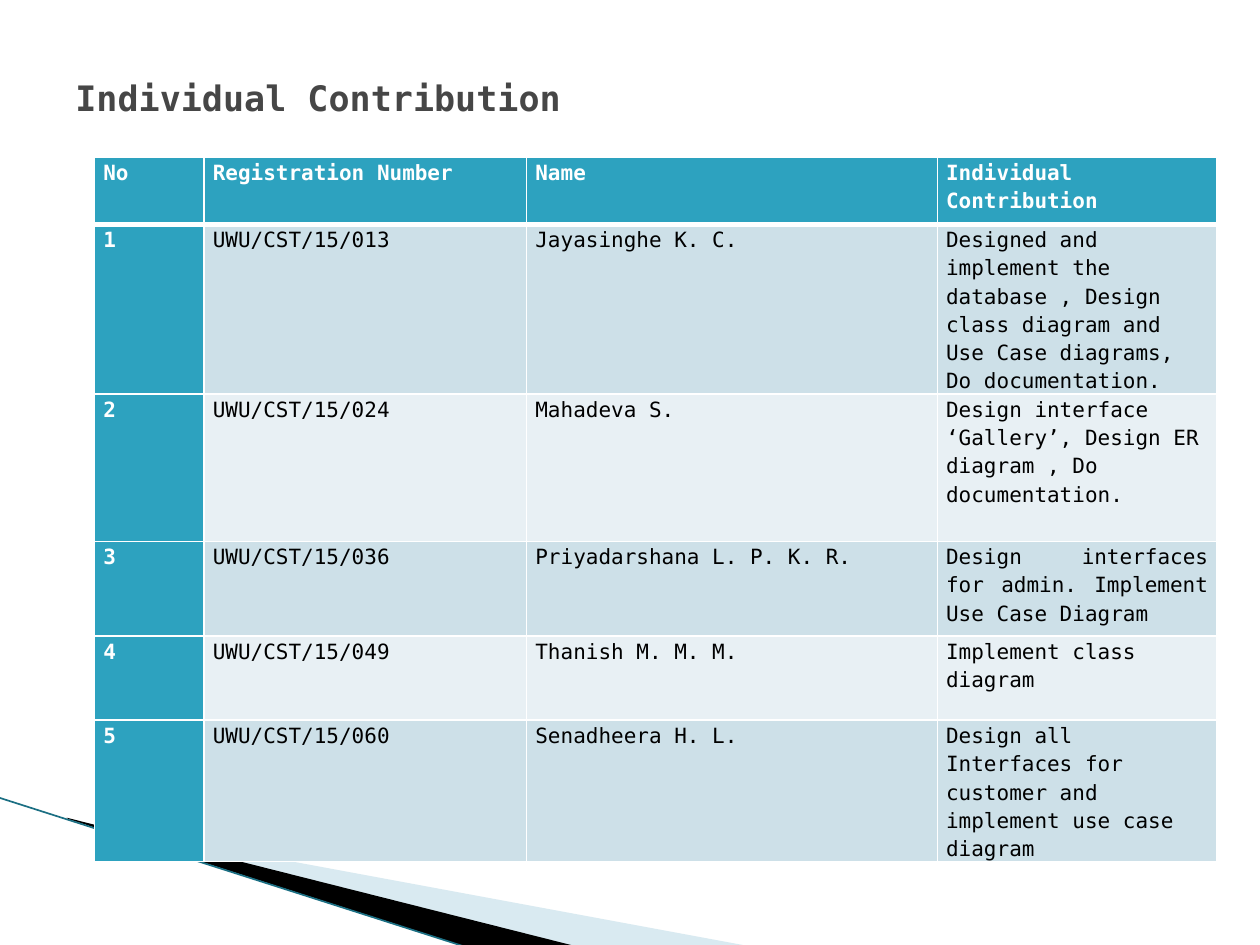
from lxml import etree
from pptx import Presentation
from pptx.dml.color import RGBColor
from pptx.enum.shapes import MSO_CONNECTOR
from pptx.enum.text import MSO_ANCHOR, PP_ALIGN
from pptx.oxml.ns import qn
from pptx.util import Inches, Pt

STRAIGHT = MSO_CONNECTOR.STRAIGHT
MIDDLE = MSO_ANCHOR.MIDDLE
LEFT = PP_ALIGN.LEFT
JUSTIFY = PP_ALIGN.JUSTIFY

FONT = "DejaVu Sans Mono"
WHITE = RGBColor(0xFF, 0xFF, 0xFF)
BLACK = RGBColor(0, 0, 0)
TITLE_GRAY = RGBColor(0x46, 0x46, 0x46)
TEAL = RGBColor(0x2D, 0xA2, 0xBF)
DARK_TEAL = RGBColor(0x1B, 0x6F, 0x83)
PALE_BLUE = RGBColor(0xA0, 0xCB, 0xDC)
ODD_BAND = RGBColor(0xCD, 0xE0, 0xE8)
EVEN_BAND = RGBColor(0xE8, 0xF0, 0xF4)

COLUMN_WIDTHS = [0.87, 2.56, 3.26, 2.22]
ROW_HEIGHTS = [0.53, 1.31, 1.17, 0.75, 0.67, 1.06]
HEADER = ["No", "Registration Number", "Name", "Individual Contribution"]
MEMBERS = [
    ("013", "Jayasinghe K. C.", "Designed and implement the database , Design class diagram "
     "and Use Case diagrams, Do documentation.", LEFT),
    ("024", "Mahadeva S.", "Design interface ‘Gallery’, Design ER diagram , "
     "Do documentation.", LEFT),
    ("036", "Priyadarshana L. P. K. R.", "Design interfaces for admin. "
     "Implement Use Case Diagram", JUSTIFY),
    ("049", "Thanish M. M. M.", "Implement class diagram", LEFT),
    ("060", "Senadheera H. L.", "Design all Interfaces for customer and implement "
     "use case diagram", LEFT),
]


def add_run(paragraph, text, size, color, bold):
    run = paragraph.add_run()
    run.text = text
    run.font.name = FONT
    run.font.size = Pt(size)
    run.font.bold = bold
    run.font.color.rgb = color


def add_wedge(slide, points, color, opacity=100):
    corners = [(Inches(x), Inches(y)) for x, y in points]
    builder = slide.shapes.build_freeform(*corners[0])
    builder.add_line_segments(corners[1:], close=True)
    shape = builder.convert_to_shape()
    shape.shadow.inherit = False
    shape.fill.solid()
    shape.fill.fore_color.rgb = color
    shape.line.fill.background()
    if opacity < 100:
        color_element = shape.fill._xPr.find(qn("a:solidFill"))[0]
        etree.SubElement(color_element, qn("a:alpha"), val=str(opacity * 1000))


def add_corner_decoration(slide, left, top):
    def place(points):
        return [(left + x, top + y) for x, y in points]

    add_wedge(slide, place([(0.55, 0.18), (5.95, 1.18), (4.56, 1.18), (0.55, 0.17)]),
              PALE_BLUE, 40)
    add_wedge(slide, place([(0.53, 0.16), (4.57, 1.18), (3.72, 1.19), (0.54, 0.17)]), BLACK)
    start, end = place([(-0.01, 0), (3.71, 1.19)])
    edge = slide.shapes.add_connector(STRAIGHT, *map(Inches, start + end))
    edge.line.color.rgb = DARK_TEAL
    edge.line.width = Pt(0.95)
    etree.SubElement(edge._element.spPr, qn("a:effectLst"))


def add_border(cell, side, width):
    line = etree.SubElement(cell._tc.get_or_add_tcPr(), qn(f"a:ln{side}"), w=str(Pt(width)))
    fill = etree.SubElement(line, qn("a:solidFill"))
    etree.SubElement(fill, qn("a:srgbClr"), val=str(WHITE))


def fill_cell(cell, text, row, column, alignment):
    heading = row == 0 or column == 0
    thickness = {"L": 1, "R": 1, "T": 3 if row == 1 else 1, "B": 3 if row == 0 else 1}
    for side, width in thickness.items():
        add_border(cell, side, width)
    cell.fill.solid()
    cell.fill.fore_color.rgb = TEAL if heading else ODD_BAND if row % 2 else EVEN_BAND
    cell.margin_left = cell.margin_right = Inches(0.07)
    cell.margin_top = cell.margin_bottom = 0
    paragraph = cell.text_frame.paragraphs[0]
    paragraph.alignment = alignment
    paragraph.line_spacing = 1.15
    paragraph.space_after = Pt(10)
    add_run(paragraph, text, 12, WHITE if heading else BLACK, heading)


def add_contribution_table(slide, left, top, width, height):
    table = slide.shapes.add_table(
        len(ROW_HEIGHTS), len(COLUMN_WIDTHS), left, top, width, height).table
    for column, column_width in zip(table.columns, COLUMN_WIDTHS):
        column.width = Inches(column_width)
    for row, row_height in zip(table.rows, ROW_HEIGHTS):
        row.height = Inches(row_height)
    rows = [(HEADER, JUSTIFY)]
    for number, (code, name, work, alignment) in enumerate(MEMBERS, 1):
        rows.append(([str(number), f"UWU/CST/15/{code}", name, work], alignment))
    for row, (texts, last_alignment) in enumerate(rows):
        for column, text in enumerate(texts):
            alignment = last_alignment if column == len(texts) - 1 else JUSTIFY
            fill_cell(table.cell(row, column), text, row, column, alignment)


def add_title(slide, left, top, width, height):
    frame = slide.shapes.add_textbox(left, top, width, height).text_frame
    frame.word_wrap = True
    frame.vertical_anchor = MIDDLE
    add_run(frame.paragraphs[0], "Individual Contribution", 20, TITLE_GRAY, True)


def main():
    presentation = Presentation()
    presentation.slide_width = Inches(10)
    presentation.slide_height = Inches(7.5)
    slide = presentation.slides.add_slide(presentation.slide_layouts[6])
    slide.background.fill.solid()
    slide.background.fill.fore_color.rgb = WHITE
    add_corner_decoration(slide, 0, 6.33)
    add_contribution_table(slide, Inches(0.75), Inches(1.25), Inches(8.91), Inches(5.49))
    add_title(slide, Inches(0.5), Inches(0.3), Inches(9), Inches(0.95))
    presentation.save("out.pptx")


if __name__ == "__main__":
    main()
